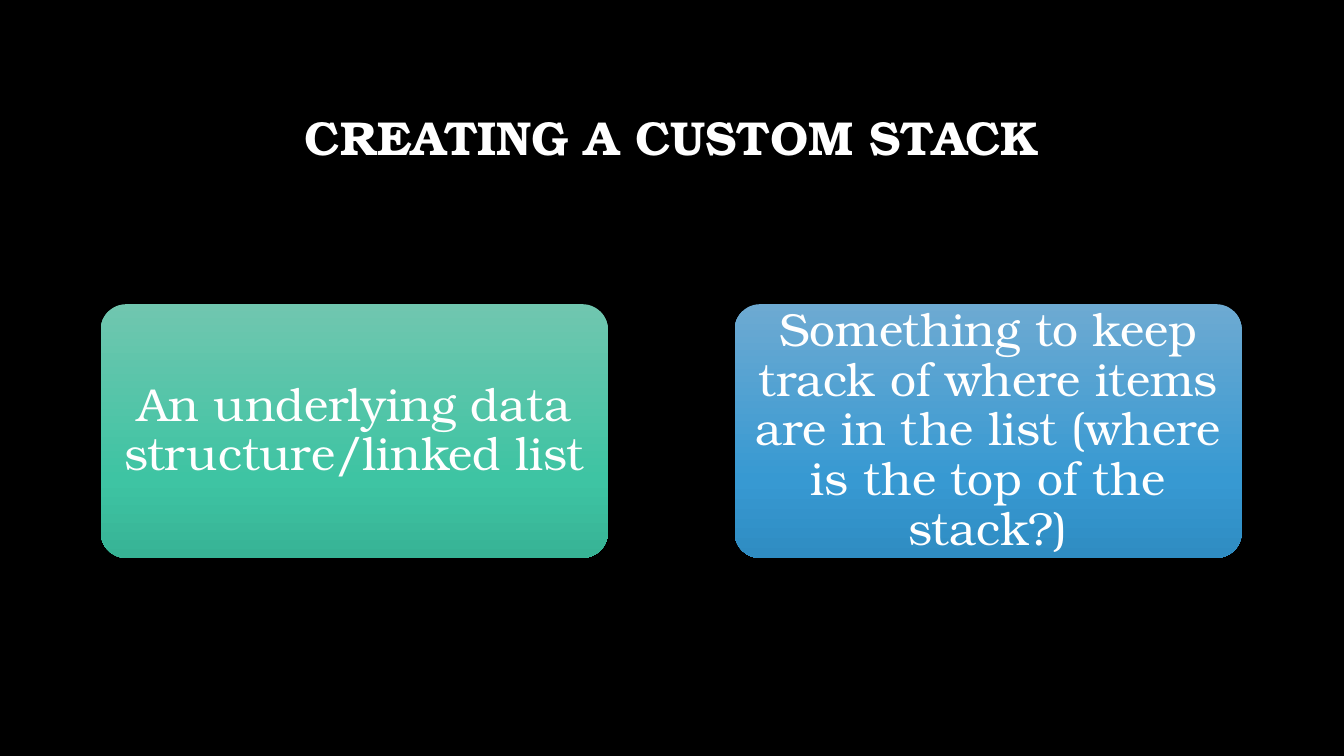
from copy import deepcopy
from dataclasses import dataclass

from pptx import Presentation
from pptx.dml.color import RGBColor
from pptx.enum.shapes import MSO_SHAPE
from pptx.enum.text import MSO_ANCHOR, MSO_AUTO_SIZE, PP_ALIGN
from pptx.oxml.ns import qn
from pptx.util import Pt

TITLE = "CREATING A CUSTOM STACK"
CARDS = [
    ("An underlying data structure/linked list", ("70C6AF", "3EC4A3", "37B395")),
    (
        "Something to keep track of where items are in the list (where is the top of the stack?)",
        ("6DAAD2", "3799D2", "2F8CC2"),
    ),
]


@dataclass(frozen=True)
class Theme:
    font: str = "TeX Gyre Bonum"
    background: str = "000000"
    text: str = "FFFFFF"
    title_size: int = 34
    card_size: int = 33
    gradient_positions: tuple = (0, 0.69, 1)


THEME = Theme()
SLIDE_WIDTH, SLIDE_HEIGHT = 960, 540
MARGIN = 72
TITLE_TOP, TITLE_HEIGHT = 48.2, 104.4
CARD_TOP, CARD_WIDTH, CARD_HEIGHT = 217.3, 362.2, 181.2
CARD_GAP = CARD_WIDTH / 4
CARD_INSET_X, CARD_INSET_Y = 5, 3.6


def set_text(shape, text, size, bold):
    frame = shape.text_frame
    frame.text = text
    frame.word_wrap = True
    frame.auto_size = MSO_AUTO_SIZE.NONE
    frame.vertical_anchor = MSO_ANCHOR.MIDDLE
    paragraph = frame.paragraphs[0]
    paragraph.alignment = PP_ALIGN.CENTER
    paragraph.line_spacing = 0.9
    font = paragraph.runs[0].font
    font.name = THEME.font
    font.size = Pt(size)
    font.bold = bold
    font.color.rgb = RGBColor.from_string(THEME.text)


def set_gradient(shape, colors):
    shape.fill.gradient()
    shape.fill.gradient_angle = 270
    stop_list = shape.element.spPr.find(qn("a:gradFill")).find(qn("a:gsLst"))
    stop_list.append(deepcopy(stop_list[0]))
    for stop, position, color in zip(shape.fill.gradient_stops, THEME.gradient_positions, colors):
        stop.position = position
        stop.color.rgb = RGBColor.from_string(color)


def add_title(slide):
    title = slide.shapes.title
    title.left, title.top = Pt(MARGIN), Pt(TITLE_TOP)
    title.width, title.height = Pt(SLIDE_WIDTH - 2 * MARGIN), Pt(TITLE_HEIGHT)
    set_text(title, TITLE, THEME.title_size, True)


def add_card(slide, index, text, colors):
    left = MARGIN + index * (CARD_WIDTH + CARD_GAP)
    card = slide.shapes.add_shape(
        MSO_SHAPE.ROUNDED_RECTANGLE, Pt(left), Pt(CARD_TOP), Pt(CARD_WIDTH), Pt(CARD_HEIGHT)
    )
    card.adjustments[0] = 0.1
    card.shadow.inherit = False
    card.line.fill.background()
    set_gradient(card, colors)
    frame = card.text_frame
    frame.margin_left = frame.margin_right = Pt(CARD_INSET_X)
    frame.margin_top = frame.margin_bottom = Pt(CARD_INSET_Y)
    set_text(card, text, THEME.card_size, False)


def main():
    presentation = Presentation()
    presentation.slide_width, presentation.slide_height = Pt(SLIDE_WIDTH), Pt(SLIDE_HEIGHT)
    slide = presentation.slides.add_slide(presentation.slide_layouts[5])
    slide.background.fill.solid()
    slide.background.fill.fore_color.rgb = RGBColor.from_string(THEME.background)
    add_title(slide)
    for index, (text, colors) in enumerate(CARDS):
        add_card(slide, index, text, colors)
    presentation.save("out.pptx")


if __name__ == "__main__":
    main()
